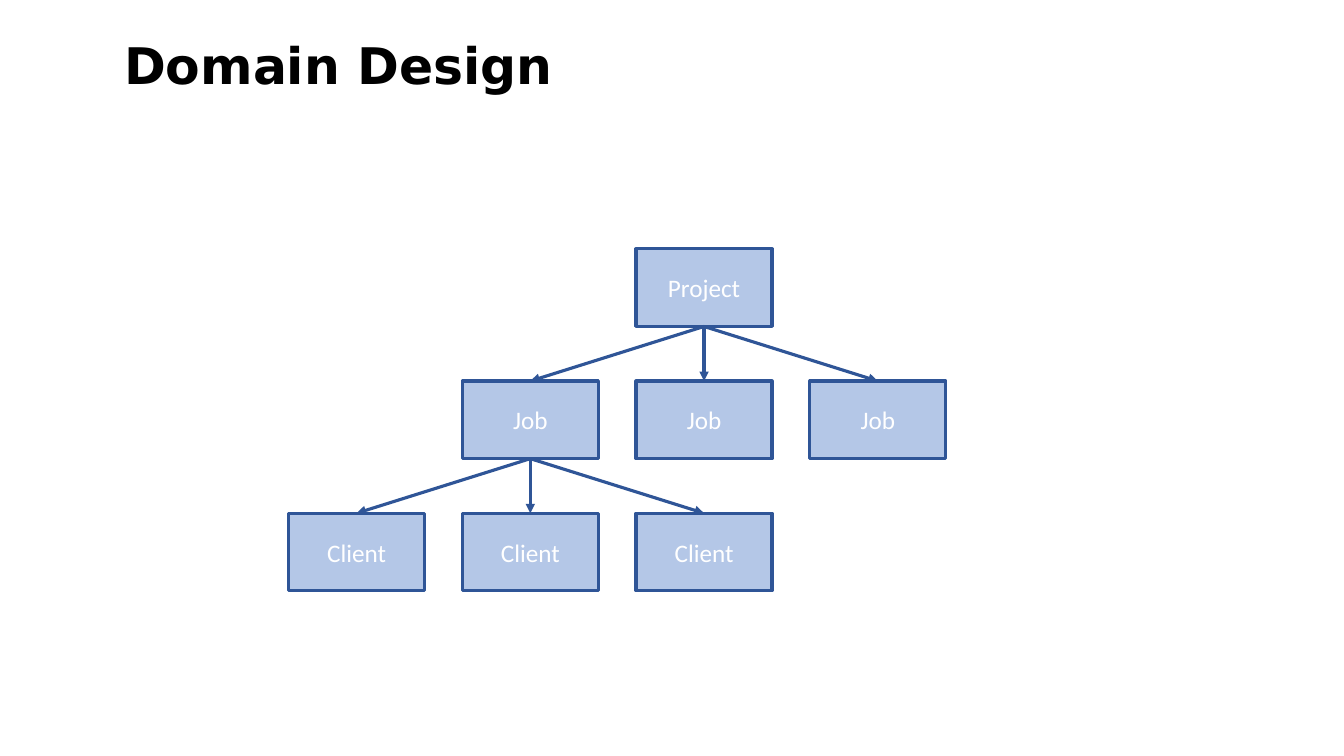
from lxml.etree import SubElement
from pptx import Presentation
from pptx.dml.color import RGBColor
from pptx.enum.shapes import MSO_CONNECTOR, MSO_SHAPE
from pptx.enum.text import MSO_ANCHOR, MSO_AUTO_SIZE, PP_ALIGN
from pptx.oxml.ns import qn
from pptx.util import Pt


def paint(item, color):
    item.rgb = RGBColor.from_string(color)


class Chart:
    """Draws a tree of boxes on one slide in a fixed style."""

    fill, edge, ink = "B4C7E7", "2F5597", "FFFFFF"
    wide, high = 97.2, 55.4
    left, top = 206.1, 177.8
    step, drop = 124.1, 94.4

    def __init__(self, deck):
        self.slide = deck.slides.add_slide(deck.slide_layouts[5])

    def label(self, shape, text, color, align, style):
        frame = shape.text_frame
        frame.text = text
        frame.word_wrap = True
        frame.auto_size = MSO_AUTO_SIZE.NONE
        frame.vertical_anchor = MSO_ANCHOR.MIDDLE
        para = frame.paragraphs[0]
        para.alignment = align
        font = para.runs[0].font
        for key, value in style.items():
            setattr(font, key, value)
        paint(font.color, color)
        return para

    def title(self, text):
        shape = self.slide.shapes.title
        place = {"left": 81.4, "top": 0, "width": 812.9, "height": 97.9}
        for key, value in place.items():
            setattr(shape, key, Pt(value))
        style = {"name": "DejaVu Sans", "size": Pt(36), "bold": True}
        para = self.label(shape, text, "000000", PP_ALIGN.LEFT, style)
        para.line_spacing = 0.9

    def stroke(self, line):
        line.width = Pt(2.25)
        line.fill.solid()
        paint(line.color, self.edge)

    def box(self, text, col, row):
        x = self.left + col * self.step
        y = self.top + row * self.drop
        shape = self.slide.shapes.add_shape(
            MSO_SHAPE.RECTANGLE, Pt(x), Pt(y), Pt(self.wide), Pt(self.high))
        shape.shadow.inherit = False
        shape.fill.solid()
        paint(shape.fill.fore_color, self.fill)
        self.stroke(shape.line)
        style = {"name": "Calibri", "size": Pt(18)}
        self.label(shape, text, self.ink, PP_ALIGN.CENTER, style)
        return shape

    def arrow(self, child, parent):
        link = self.slide.shapes.add_connector(
            MSO_CONNECTOR.STRAIGHT, Pt(0), Pt(0), Pt(0), Pt(0))
        link.begin_connect(child, 0)
        link.end_connect(parent, 2)
        self.stroke(link.line)
        props = link.element.spPr
        SubElement(props.find(qn("a:ln")), qn("a:headEnd"), type="triangle")
        SubElement(props, qn("a:effectLst"))

    def branch(self, parent, text, cols, row):
        kids = [self.box(text, col, row) for col in cols]
        for kid in kids:
            self.arrow(kid, parent)
        return kids


def main():
    deck = Presentation()
    deck.slide_width, deck.slide_height = Pt(960), Pt(540)
    chart = Chart(deck)
    chart.title("Domain Design")
    root = chart.box("Project", 2, 0)
    jobs = chart.branch(root, "Job", range(1, 4), 1)
    chart.branch(jobs[0], "Client", range(3), 2)
    deck.save("out.pptx")


if __name__ == "__main__":
    main()
